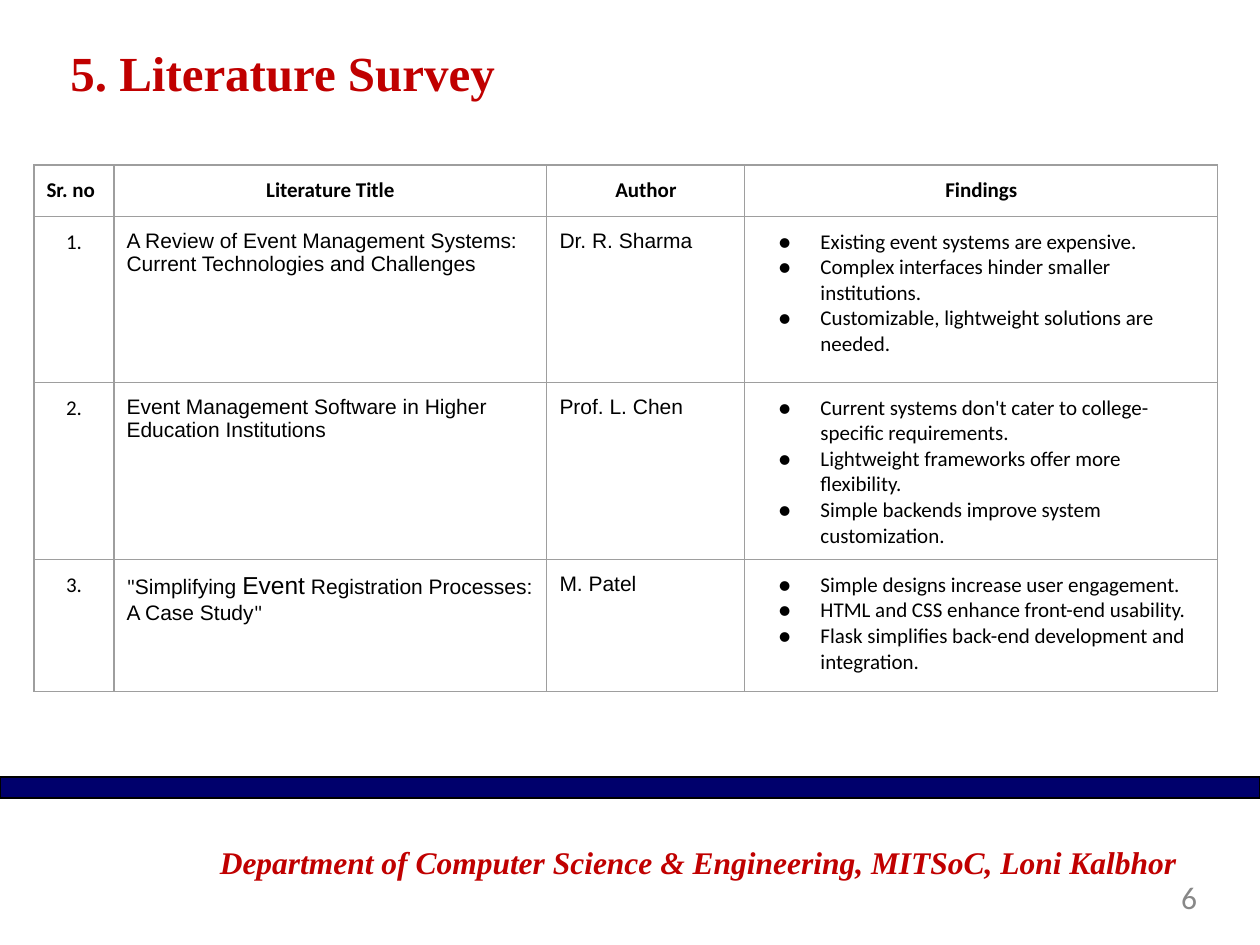
import lxml.etree
import pptx
import pptx.dml.color
import pptx.enum.shapes
import pptx.enum.text
import pptx.oxml.ns
import pptx.util

RED = pptx.dml.color.RGBColor(0xC0, 0x00, 0x00)
NAVY = pptx.dml.color.RGBColor(0x00, 0x00, 0x6C)
BLACK = pptx.dml.color.RGBColor(0x00, 0x00, 0x00)
GRAY = pptx.dml.color.RGBColor(0x88, 0x88, 0x88)
BORDER = pptx.dml.color.RGBColor(0x9E, 0x9E, 0x9E)
LEFT = pptx.enum.text.PP_ALIGN.LEFT
CENTER = pptx.enum.text.PP_ALIGN.CENTER
RIGHT = pptx.enum.text.PP_ALIGN.RIGHT

HEADINGS = ["Sr. no", "Literature Title", "Author", "Findings"]
STUDIES = [
    ([("A Review of Event Management Systems: Current Technologies and Challenges", {})],
     "Dr. R. Sharma",
     ["Existing event systems are expensive.",
      "Complex interfaces hinder smaller institutions.",
      "Customizable, lightweight solutions are needed."]),
    ([("Event Management Software in Higher Education Institutions", {})],
     "Prof. L. Chen",
     ["Current systems don't cater to college-specific requirements.",
      "Lightweight frameworks offer more flexibility.",
      "Simple backends improve system customization."]),
    ([('"', {"name": "Calibri"}), ("Simplifying ", {}), ("Event", {"size": 14}),
      (" Registration Processes: A Case Study", {}), ('"', {"name": "Calibri"})],
     "M. Patel",
     ["Simple designs increase user engagement.",
      "HTML and CSS enhance front-end usability.",
      "Flask simplifies back-end development and integration."]),
]
COLUMN_WIDTHS = [80, 433, 198, 473]
ROW_HEIGHTS = [50, 166, 176, 132]


def px(length):
    return pptx.util.Emu(round(length * 914400 / 126))


class SlideBuilder:
    body = {"name": "Calibri", "size": 12, "color": BLACK}

    def __init__(self, slide):
        self.slide = slide

    def add_spans(self, para, spans, style, align=LEFT):
        para.alignment = align
        for text, changes in spans:
            span = para.add_run()
            span.text = text
            for key, value in {**style, **changes}.items():
                if key == "color":
                    span.font.color.rgb = value
                else:
                    setattr(span.font, key, pptx.util.Pt(value) if key == "size" else value)

    def text(self, text, left, top, width, height, style, align=LEFT, **frame_format):
        box = self.slide.shapes.add_textbox(px(left), px(top), px(width), px(height))
        frame = box.text_frame
        frame.word_wrap = True
        for key, value in frame_format.items():
            setattr(frame, key, value)
        self.add_spans(frame.paragraphs[0], [(text, {})], style, align)

    def bar(self, left, top, width, height, fill, line):
        kind = pptx.enum.shapes.MSO_SHAPE.RECTANGLE
        shape = self.slide.shapes.add_shape(kind, px(left), px(top), px(width), px(height))
        shape.shadow.inherit = False
        shape.fill.solid()
        shape.fill.fore_color.rgb = fill
        shape.line.color.rgb = line
        shape.line.width = pptx.util.Pt(0.75)

    def table(self, left, top, widths, heights):
        table = self.slide.shapes.add_table(
            len(heights), len(widths), px(left), px(top), px(sum(widths)), px(sum(heights))).table
        table.first_row = table.horz_banding = False
        for column, width in zip(table.columns, widths):
            column.width = px(width)
        for row, height in zip(table.rows, heights):
            row.height = px(height)
        for cell in table.iter_cells():
            cell.margin_top = cell.margin_bottom = px(13)
            self.borders(cell)
            cell.fill.background()
        return table

    def borders(self, cell):
        properties = cell._tc.get_or_add_tcPr()
        qn = pptx.oxml.ns.qn
        for side in ("a:lnL", "a:lnR", "a:lnT", "a:lnB"):
            line = lxml.etree.SubElement(properties, qn(side), w=str(pptx.util.Pt(0.75)))
            fill = lxml.etree.SubElement(line, qn("a:solidFill"))
            lxml.etree.SubElement(fill, qn("a:srgbClr"), val=str(BORDER))

    def cell(self, cell, spans, style, align=LEFT):
        self.add_spans(cell.text_frame.paragraphs[0], spans, style, align)

    def bullets(self, cell, items):
        frame = cell.text_frame
        qn = pptx.oxml.ns.qn
        for index, item in enumerate(items):
            para = frame.add_paragraph() if index else frame.paragraphs[0]
            properties = para._p.get_or_add_pPr()
            properties.set("marL", str(px(63)))
            properties.set("indent", str(px(-42)))
            color = lxml.etree.SubElement(properties, qn("a:buClr"))
            lxml.etree.SubElement(color, qn("a:srgbClr"), val=str(BLACK))
            lxml.etree.SubElement(properties, qn("a:buFont"), typeface="Calibri")
            lxml.etree.SubElement(properties, qn("a:buChar"), char="●")
            self.add_spans(para, [(item, {})], self.body)


def main():
    deck = pptx.Presentation()
    deck.slide_width, deck.slide_height = px(1260), px(945)
    builder = SlideBuilder(deck.slides.add_slide(deck.slide_layouts[6]))
    no_margins = {"margin_left": 0, "margin_top": 0, "margin_right": 0, "margin_bottom": 0}
    heading = {"name": "Times New Roman", "size": 28, "bold": True, "color": RED}

    builder.bar(0, 777, 1260, 21, NAVY, BLACK)
    builder.text("6", 907, 878, 290, 48, {"name": "Calibri", "size": 18, "color": GRAY},
                 RIGHT, **no_margins)
    builder.text("5. Literature Survey", 58, 32, 1104, 79, heading,
                 vertical_anchor=pptx.enum.text.MSO_ANCHOR.MIDDLE)
    builder.text("Department of Computer Science & Engineering, MITSoC, Loni Kalbhor",
                 190, 842, 1017, 93, {**heading, "size": 18, "italic": True}, CENTER,
                 **{**no_margins, "margin_top": px(1)})

    table = builder.table(34, 165, COLUMN_WIDTHS, ROW_HEIGHTS)
    for column, label in enumerate(HEADINGS):
        builder.cell(table.cell(0, column), [(label, {})], {**builder.body, "bold": True},
                     CENTER if column else LEFT)
    arial = {**builder.body, "name": "Arial"}
    for row, (title, author, findings) in enumerate(STUDIES, 1):
        builder.cell(table.cell(row, 0), [(f"{row}.", {})], builder.body, CENTER)
        builder.cell(table.cell(row, 1), title, arial)
        builder.cell(table.cell(row, 2), [(author, {})], arial)
        builder.bullets(table.cell(row, 3), findings)

    deck.save("out.pptx")


if __name__ == "__main__":
    main()
